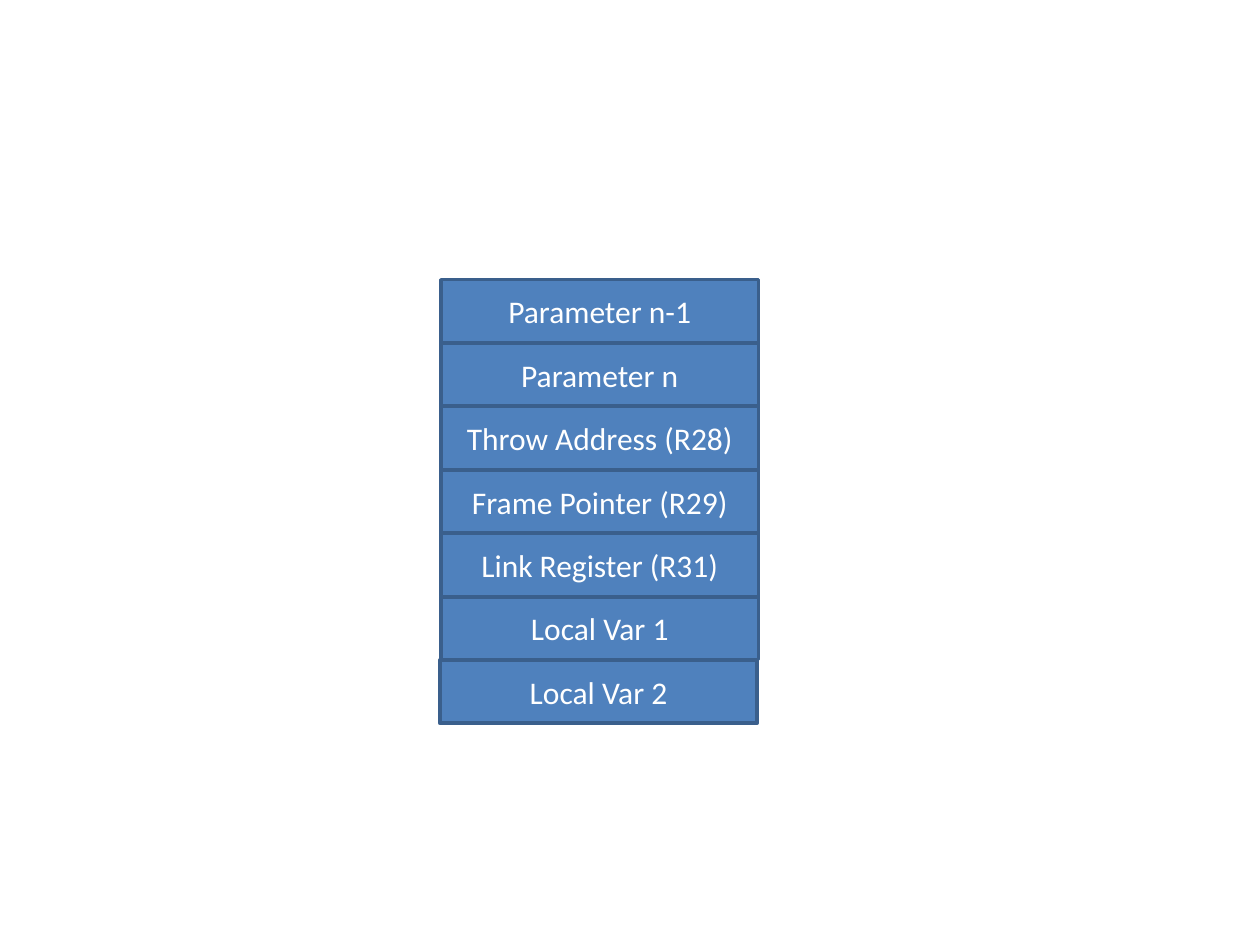
import dataclasses

import pptx
import pptx.dml.color
import pptx.enum.shapes
import pptx.enum.text
import pptx.util
from pptx.util import Inches


@dataclasses.dataclass(frozen=True)
class Theme:
    fill: str = "4F81BD"
    border: str = "3A5F8C"
    text: str = "FFFFFF"
    font: str = "Calibri"
    text_size: int = 18
    border_width: int = 2


THEME = Theme()

# Stack frame, from the highest address down
STACK_ENTRIES = [
    "Parameter n-1",
    "Parameter n",
    "Throw Address (R28)",
    "Frame Pointer (R29)",
    "Link Register (R31)",
    "Local Var 1",
    "Local Var 2",
]
STACK_LEFT, STACK_TOP = 3.5, 2.22
LAST_LEFT, LAST_TOP = 3.49, 5.24
ENTRY_WIDTH, ENTRY_HEIGHT = 2.52, 0.5
ENTRY_PITCH = (LAST_TOP - STACK_TOP) / (len(STACK_ENTRIES) - 1)


def rgb(value):
    return pptx.dml.color.RGBColor.from_string(value)


def add_entry(slide, label, left, top):
    """Add one labelled cell of the stack."""
    entry = slide.shapes.add_shape(
        pptx.enum.shapes.MSO_SHAPE.RECTANGLE,
        Inches(left), Inches(top), Inches(ENTRY_WIDTH), Inches(ENTRY_HEIGHT),
    )
    entry.shadow.inherit = False
    entry.fill.solid()
    entry.fill.fore_color.rgb = rgb(THEME.fill)
    entry.line.color.rgb = rgb(THEME.border)
    entry.line.width = pptx.util.Pt(THEME.border_width)

    # Centred label
    frame = entry.text_frame
    frame.text = label
    frame.word_wrap = True
    frame.vertical_anchor = pptx.enum.text.MSO_ANCHOR.MIDDLE
    paragraph = frame.paragraphs[0]
    paragraph.alignment = pptx.enum.text.PP_ALIGN.CENTER
    font = paragraph.runs[0].font
    font.name = THEME.font
    font.size = pptx.util.Pt(THEME.text_size)
    font.color.rgb = rgb(THEME.text)


def add_stack(slide):
    """Stack the entries; the last one sits slightly to the left."""
    for row, label in enumerate(STACK_ENTRIES):
        left = LAST_LEFT if label == STACK_ENTRIES[-1] else STACK_LEFT
        add_entry(slide, label, left, STACK_TOP + row * ENTRY_PITCH)


def main():
    presentation = pptx.Presentation()
    presentation.slide_width = Inches(10)
    presentation.slide_height = Inches(7.5)
    blank_layout = presentation.slide_layouts[6]
    slide = presentation.slides.add_slide(blank_layout)
    add_stack(slide)
    presentation.save("out.pptx")


if __name__ == "__main__":
    main()
